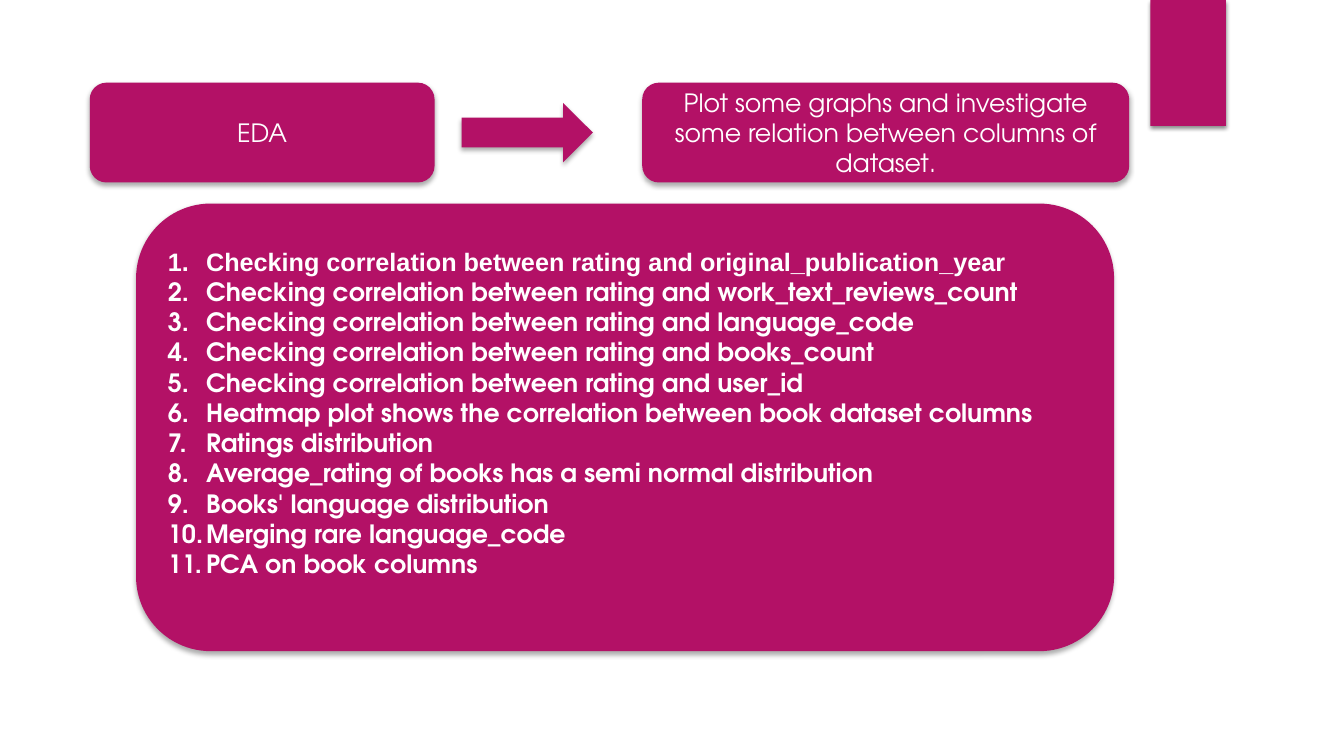
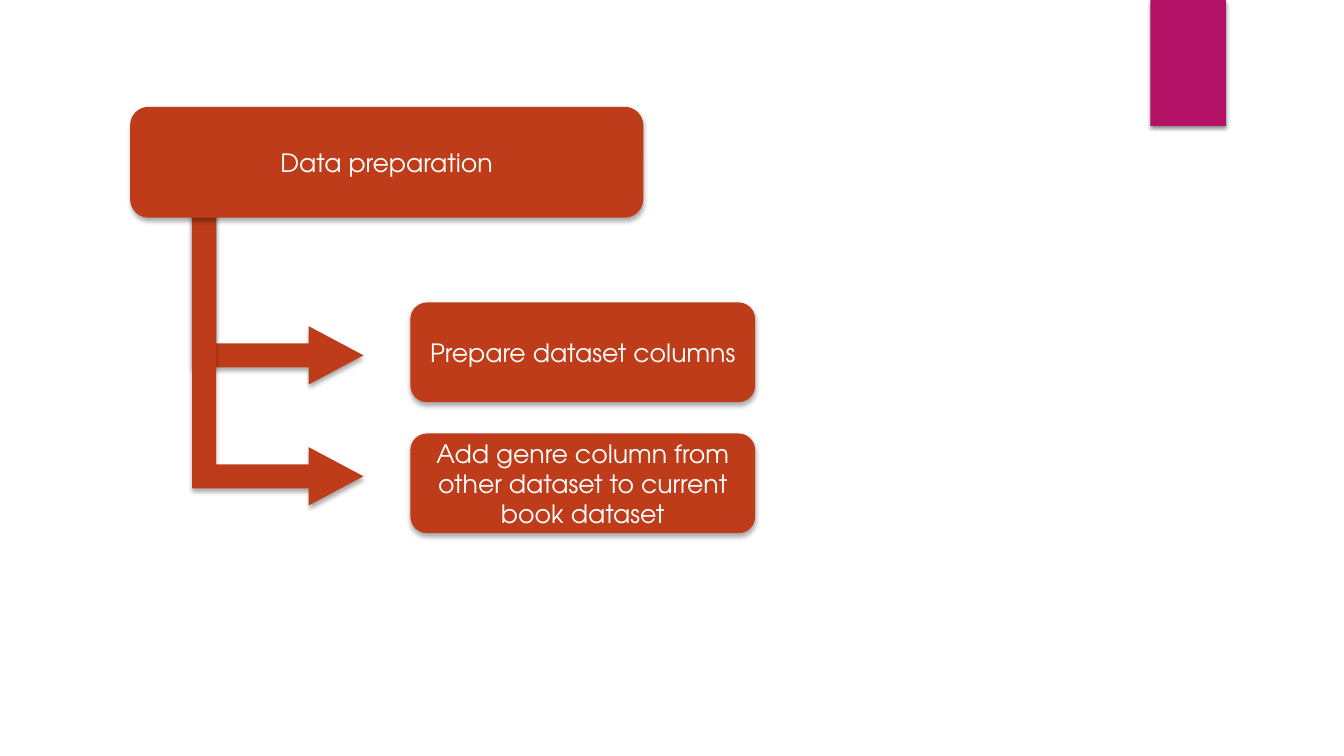
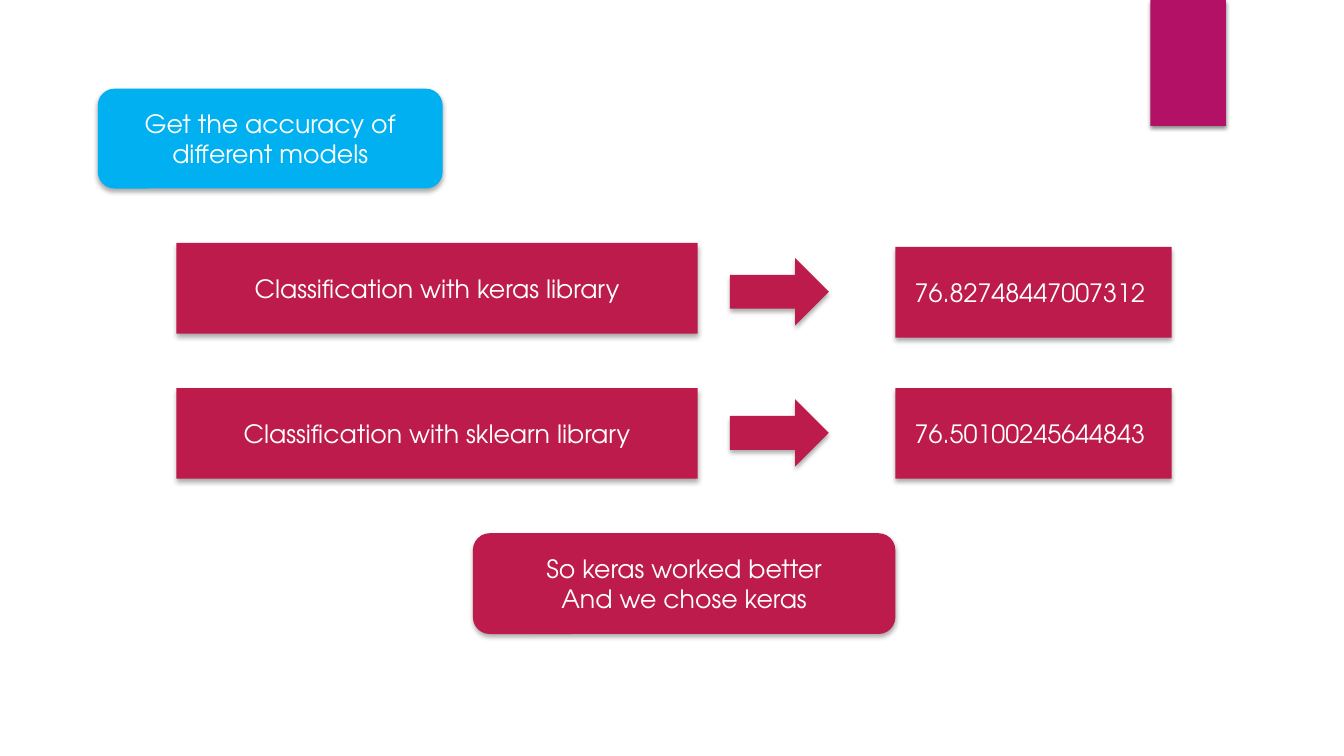
from dataclasses import dataclass

from lxml import etree
from pptx import Presentation
from pptx.dml.color import RGBColor
from pptx.enum.shapes import MSO_SHAPE
from pptx.enum.text import MSO_ANCHOR, PP_ALIGN
from pptx.oxml.ns import qn
from pptx.shapes.autoshape import Shape
from pptx.slide import Slide
from pptx.util import Emu, Pt

# Page scale: 100 px to the inch
EMU_PER_PX = 9144
PAGE_W, PAGE_H = 1333, 750
BLANK_LAYOUT = 6

MAGENTA = RGBColor(0xB3, 0x11, 0x66)
RUST = RGBColor(0xBE, 0x3C, 0x1A)
SKY = RGBColor(0x00, 0xB0, 0xF0)
CRIMSON = RGBColor(0xBD, 0x1B, 0x4C)
WHITE = RGBColor(0xFF, 0xFF, 0xFF)

FONT = "TeX Gyre Adventor"
FIRST_CHECK_FONT = "Arial"
TEXT_SIZE = Pt(18)

RECT = MSO_SHAPE.RECTANGLE
ROUNDED = MSO_SHAPE.ROUNDED_RECTANGLE
ARROW = MSO_SHAPE.RIGHT_ARROW
BENT_ARROW = MSO_SHAPE.BENT_UP_ARROW
CENTER, LEFT = PP_ALIGN.CENTER, PP_ALIGN.LEFT
MIDDLE = MSO_ANCHOR.MIDDLE

CHECKS = (
    "Checking correlation between rating and original_publication_year",
    "Checking correlation between rating and work_text_reviews_count",
    "Checking correlation between rating and language_code",
    "Checking correlation between rating and books_count",
    "Checking correlation between rating and user_id",
    "Heatmap plot shows the correlation between book dataset columns",
    "Ratings distribution",
    "Average_rating of books has a semi normal distribution",
    "Books' language distribution",
    "Merging rare language_code",
    "PCA on book columns",
)


@dataclass(frozen=True)
class Shadow:
    alpha: int  # percent
    blur: float  # points
    distance: float  # points


@dataclass(frozen=True)
class Block:
    left: int
    top: int
    width: int
    height: int
    fill: RGBColor
    kind: MSO_SHAPE = ROUNDED
    text: str = ""
    shadow: Shadow = Shadow(32, 3.5, 2.2)


@dataclass(frozen=True)
class ModelScore:
    label: str
    score: str
    label_top: int
    arrow_top: int
    score_top: int


CORNER_BAND = Block(1141, 0, 75, 125, MAGENTA, RECT, shadow=Shadow(45, 3, 2))

MODEL_SCORES = (
    ModelScore("Classification with keras library", "76.82748447007312 ", 241, 256, 245),
    ModelScore("Classification with sklearn library", "76.50100245644843 ", 385, 396, 385),
)


def px(length: int) -> Emu:
    return Emu(length * EMU_PER_PX)


def add_shadow(shape: Shape, shadow: Shadow) -> None:
    shape.shadow.inherit = False
    effects = shape.element.spPr.find(qn("a:effectLst"))
    outer = etree.SubElement(
        effects, qn("a:outerShdw"), blurRad=str(int(Pt(shadow.blur))),
        dist=str(int(Pt(shadow.distance))), dir="5400000", algn="ctr", rotWithShape="0")
    color = etree.SubElement(outer, qn("a:srgbClr"), val="000000")
    etree.SubElement(color, qn("a:alpha"), val=str(shadow.alpha * 1000))


def add_block(slide: Slide, block: Block) -> Shape:
    shape = slide.shapes.add_shape(
        block.kind, px(block.left), px(block.top), px(block.width), px(block.height))
    shape.fill.solid()
    shape.fill.fore_color.rgb = block.fill
    shape.line.fill.background()
    add_shadow(shape, block.shadow)
    if block.text:
        frame = shape.text_frame
        frame.text = block.text
        frame.word_wrap = True
        frame.vertical_anchor = MIDDLE
        for paragraph in frame.paragraphs:
            paragraph.alignment = CENTER
            for run in paragraph.runs:
                run.font.name = FONT
                run.font.size = TEXT_SIZE
                run.font.color.rgb = WHITE
    return shape


def add_bent_arrow(slide: Slide, left: int, top: int, width: int) -> None:
    arrow = add_block(slide, Block(left, top, width, 170, RUST, BENT_ARROW))
    arrow.rotation = 90
    for index, share in enumerate((0.14, 0.17, 0.32)):
        arrow.adjustments[index] = share


def number_paragraphs(shape: Shape) -> None:
    for paragraph in shape.text_frame.paragraphs:
        paragraph.alignment = LEFT
        properties = paragraph._p.get_or_add_pPr()
        properties.set("marL", str(px(38)))
        properties.set("indent", str(-px(38)))
        etree.SubElement(properties, qn("a:buFont"), typeface="+mj-lt")
        etree.SubElement(properties, qn("a:buAutoNum"), type="arabicPeriod")
        for run in paragraph.runs:
            run.font.bold = True


def new_slide(deck: Presentation) -> Slide:
    slide = deck.slides.add_slide(deck.slide_layouts[BLANK_LAYOUT])
    add_block(slide, CORNER_BAND)
    return slide


def build_eda(slide: Slide) -> None:
    # Step and its meaning
    add_block(slide, Block(89, 82, 342, 99, MAGENTA, text="EDA"))
    add_block(slide, Block(458, 102, 130, 59, MAGENTA, ARROW))
    add_block(slide, Block(
        637, 82, 483, 99, MAGENTA,
        text="Plot some graphs and investigate some relation between columns of dataset."))

    # Numbered checks, lifted a little by a deeper bottom inset
    checks = add_block(slide, Block(135, 202, 970, 444, MAGENTA, text="\n".join(CHECKS)))
    number_paragraphs(checks)
    checks.text_frame.margin_bottom = px(35)
    checks.text_frame.paragraphs[0].runs[0].font.name = FIRST_CHECK_FONT


def build_preparation(slide: Slide) -> None:
    # Branches run behind the heading
    add_bent_arrow(slide, 174, 195, 203)
    add_bent_arrow(slide, 114, 255, 323)
    tasks = ("Prepare dataset columns",
             "Add genre column from other dataset to current book dataset")
    for row, task in enumerate(tasks):
        add_block(slide, Block(407, 300 + 130 * row, 342, 99, RUST, text=task))
    add_block(slide, Block(129, 106, 509, 110, RUST, text="Data preparation"))


def build_accuracy(slide: Slide) -> None:
    add_block(slide, Block(97, 88, 342, 99, SKY, text="Get the accuracy of different models"))

    # One row per model
    for model in MODEL_SCORES:
        add_block(slide, Block(175, model.label_top, 517, 90, CRIMSON, RECT, model.label))
        add_block(slide, Block(724, model.arrow_top, 98, 67, CRIMSON, ARROW))
        add_block(slide, Block(888, model.score_top, 274, 90, CRIMSON, RECT, model.score))

    # Conclusion
    add_block(slide, Block(469, 529, 419, 100, CRIMSON,
                           text="So keras worked better\nAnd we chose keras"))


def main() -> None:
    deck = Presentation()
    deck.slide_width, deck.slide_height = px(PAGE_W), px(PAGE_H)
    for build in (build_eda, build_preparation, build_accuracy):
        build(new_slide(deck))
    deck.save("out.pptx")


if __name__ == "__main__":
    main()
